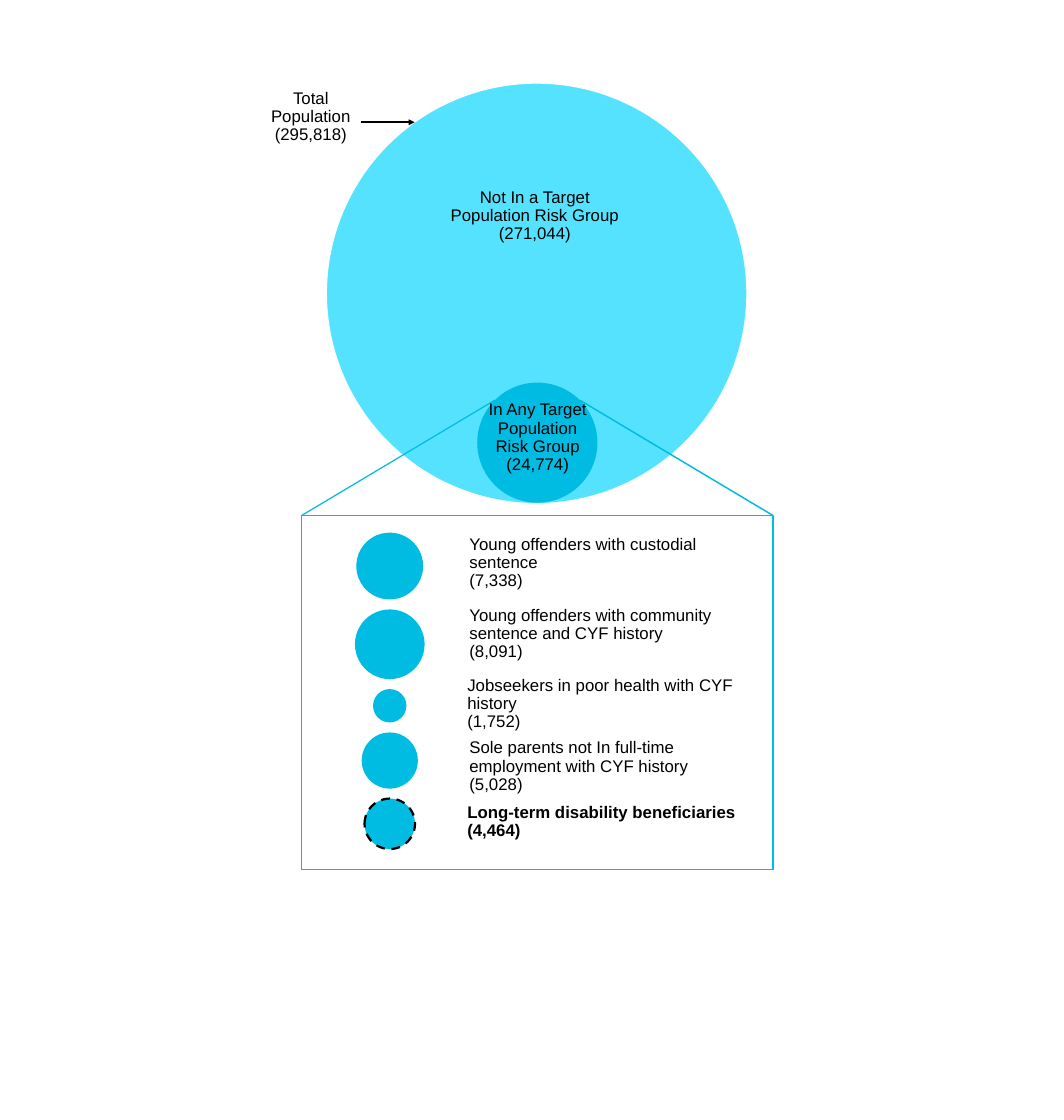
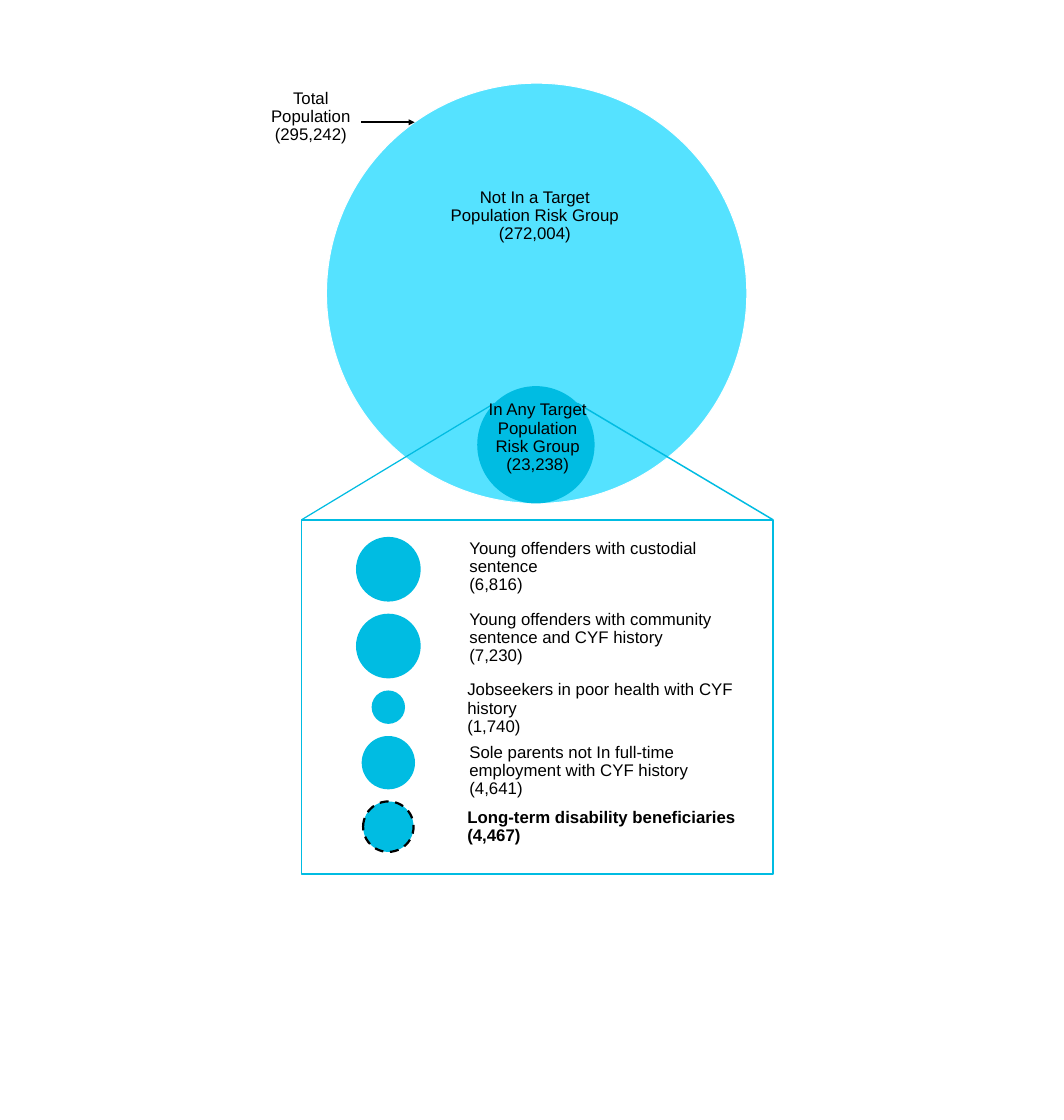
from dataclasses import dataclass
from math import sqrt

from lxml.etree import SubElement
from pptx import Presentation
from pptx.dml.color import RGBColor
from pptx.enum.dml import MSO_LINE
from pptx.enum.shapes import MSO_CONNECTOR, MSO_SHAPE
from pptx.enum.text import MSO_ANCHOR, PP_ALIGN
from pptx.oxml.ns import qn
from pptx.shapes.shapetree import GroupShapes
from pptx.util import Inches, Pt

COLORS = {"population": "55E2FF", "risk": "00BCE2", "ink": "000000", "paper": "FFFFFF"}
FONT = {"name": "Arial", "size": Pt(17)}
FRAME = {"word_wrap": True, "vertical_anchor": MSO_ANCHOR.MIDDLE}
MARGINS = ("margin_left", "margin_top", "margin_right", "margin_bottom")

BOX_LEFT, BOX_WIDTH, BOX_HEIGHT = 4.24, 6.63, 4.98
BOX_INSET = 0.24
RISK_LEFT = 6.71
CORNER = (1 - 1 / sqrt(2)) / 2  # where a circle meets its diagonal, as a share of its width


@dataclass(frozen=True)
class Outline:
    """Colour, width in points and dash of a line."""
    color: str
    width: float
    dashed: bool = False


@dataclass(frozen=True)
class Label:
    """A caption with a count below it, placed in inches."""
    caption: str
    left: float
    top: float
    width: float
    height: float
    inset: float = 0.13
    align: PP_ALIGN = PP_ALIGN.CENTER
    bold: bool = False


@dataclass(frozen=True)
class PopulationYear:
    """The counts and circle sizes that differ between the slides."""
    total: str
    outside: str
    at_risk: str
    group_counts: tuple[str, ...]
    risk_top: float
    risk_size: float
    box_top: float
    circle_center: float
    circle_gap: float
    circle_sizes: tuple[float, ...]


def group_label(caption: str, left: float, top: float, width: float,
                height: float, bold: bool = False) -> Label:
    """Describe a left-aligned risk group label, its top counted from the box."""
    return Label(caption, left, top, width, height, align=PP_ALIGN.LEFT, bold=bold)


TOTAL = Label("Total Population", 3.54, 1.2, 1.66, 0.89, inset=0.15)
OUTSIDE = Label("Not In a Target Population Risk Group", 6.17, 2.59, 2.7, 0.89, inset=0.15)
AT_RISK = Label("In Any Target Population Risk Group", 6.72, 5.56, 1.68, 1.19)
RISK_GROUPS = (
    group_label("Young offenders with custodial sentence", 6.47, 0.24, 3.9, 0.85),
    group_label("Young offenders with community sentence and CYF history",
                6.47, 1.11, 3.9, 1.11),
    group_label("Jobseekers in poor health with CYF history", 6.44, 2.18, 4.09, 0.95),
    group_label("Sole parents not In full-time employment with CYF history",
                6.47, 2.94, 3.83, 1.18),
    group_label("Long-term disability beneficiaries", 6.44, 3.89, 4.06, 0.85, bold=True),
)

YEARS = (
    PopulationYear(
        "(295,818)", "(271,044)", "(24,774)",
        ("(7,338)", "(8,091)", "(1,752)", "(5,028)", "(4,464)"),
        risk_top=5.38, risk_size=1.69, box_top=7.25, circle_center=5.48,
        circle_gap=0.14, circle_sizes=(0.94, 0.98, 0.47, 0.79, 0.71)),
    PopulationYear(
        "(295,242)", "(272,004)", "(23,238)",
        ("(6,816)", "(7,230)", "(1,740)", "(4,641)", "(4,467)"),
        risk_top=5.43, risk_size=1.65, box_top=7.31, circle_center=5.46,
        circle_gap=0.17, circle_sizes=(0.91, 0.91, 0.47, 0.75, 0.71)),
)


def rgb(color: str) -> RGBColor:
    """Look up a named colour."""
    return RGBColor.from_string(COLORS[color])


def add_figure(shapes: GroupShapes, preset: MSO_SHAPE, left: float, top: float, width: float,
               height: float, fill: str | None = None, outline: Outline | None = None) -> None:
    """Draw a preset shape with an optional fill and outline."""
    figure = shapes.add_shape(preset, Inches(left), Inches(top), Inches(width), Inches(height))
    figure.shadow.inherit = False
    if fill:
        figure.fill.solid()
        figure.fill.fore_color.rgb = rgb(fill)
    else:
        figure.fill.background()
    if outline:
        figure.line.color.rgb = rgb(outline.color)
        figure.line.width = Pt(outline.width)
        if outline.dashed:
            figure.line.dash_style = MSO_LINE.DASH
    else:
        figure.line.fill.background()


def add_circle(shapes: GroupShapes, left: float, top: float, size: float, fill: str,
               outline: Outline | None = None) -> None:
    """Draw a filled circle."""
    add_figure(shapes, MSO_SHAPE.OVAL, left, top, size, size, fill, outline)


def add_line(shapes: GroupShapes, start: tuple[float, float], end: tuple[float, float],
             outline: Outline, arrow: bool = False) -> None:
    """Draw a straight line, with an arrowhead at its end if asked."""
    line = shapes.add_connector(MSO_CONNECTOR.STRAIGHT, *map(Inches, start + end))
    line.line.color.rgb = rgb(outline.color)
    line.line.width = Pt(outline.width)
    if arrow:
        SubElement(line.line._get_or_add_ln(), qn("a:tailEnd"), type="triangle")
    SubElement(line._element.spPr, qn("a:effectLst"))


def add_label(shapes: GroupShapes, label: Label, count: str, offset: float = 0) -> None:
    """Write a caption and its count, shifted down by the offset."""
    frame = shapes.add_textbox(Inches(label.left), Inches(label.top + offset),
                               Inches(label.width), Inches(label.height)).text_frame
    for name, value in (FRAME | dict.fromkeys(MARGINS, Inches(label.inset))).items():
        setattr(frame, name, value)
    frame.text = f"{label.caption}\n{count}"
    for paragraph in frame.paragraphs:
        paragraph.alignment = label.align
        paragraph.line_spacing = 0.9
        font = paragraph.runs[0].font
        for name, value in (FONT | {"bold": label.bold}).items():
            setattr(font, name, value)
        font.color.rgb = rgb("ink")


def add_group_circles(shapes: GroupShapes, year: PopulationYear) -> None:
    """Stack the risk group circles on one axis with equal gaps."""
    top = year.box_top + BOX_INSET
    for size, group in zip(year.circle_sizes, RISK_GROUPS):
        outline = Outline("ink", 2.25, dashed=True) if group.bold else None
        add_circle(shapes, year.circle_center - size / 2, top, size, "risk", outline)
        top += size + year.circle_gap


def draw_year(shapes: GroupShapes, year: PopulationYear) -> None:
    """Draw the whole population diagram of one slide."""
    add_circle(shapes, 4.59, 1.17, 5.91, "population", Outline("paper", 1))
    add_label(shapes, TOTAL, year.total)
    add_circle(shapes, RISK_LEFT, year.risk_top, year.risk_size, "risk")
    add_line(shapes, (5.08, 1.72), (5.83, 1.72), Outline("ink", 2), arrow=True)

    inset = year.risk_size * CORNER
    touch_y = year.risk_top + inset
    add_line(shapes, (BOX_LEFT, year.box_top), (RISK_LEFT + inset, touch_y),
             Outline("risk", 1.25))
    add_group_circles(shapes, year)
    add_figure(shapes, MSO_SHAPE.RECTANGLE, BOX_LEFT, year.box_top, BOX_WIDTH, BOX_HEIGHT,
               outline=Outline("risk", 1.5))
    add_line(shapes, (RISK_LEFT + year.risk_size - inset, touch_y),
             (BOX_LEFT + BOX_WIDTH, year.box_top), Outline("risk", 1.5))

    add_label(shapes, AT_RISK, year.at_risk)
    add_label(shapes, OUTSIDE, year.outside)
    for group, count in zip(RISK_GROUPS, year.group_counts):
        add_label(shapes, group, count, offset=year.box_top)


def main() -> None:
    """Build the deck, one slide a year."""
    deck = Presentation()
    deck.slide_width, deck.slide_height = Inches(14.96), Inches(15.75)
    for year in YEARS:
        slide = deck.slides.add_slide(deck.slide_layouts[6])
        draw_year(slide.shapes.add_group_shape().shapes, year)
    deck.save("out.pptx")


main()
